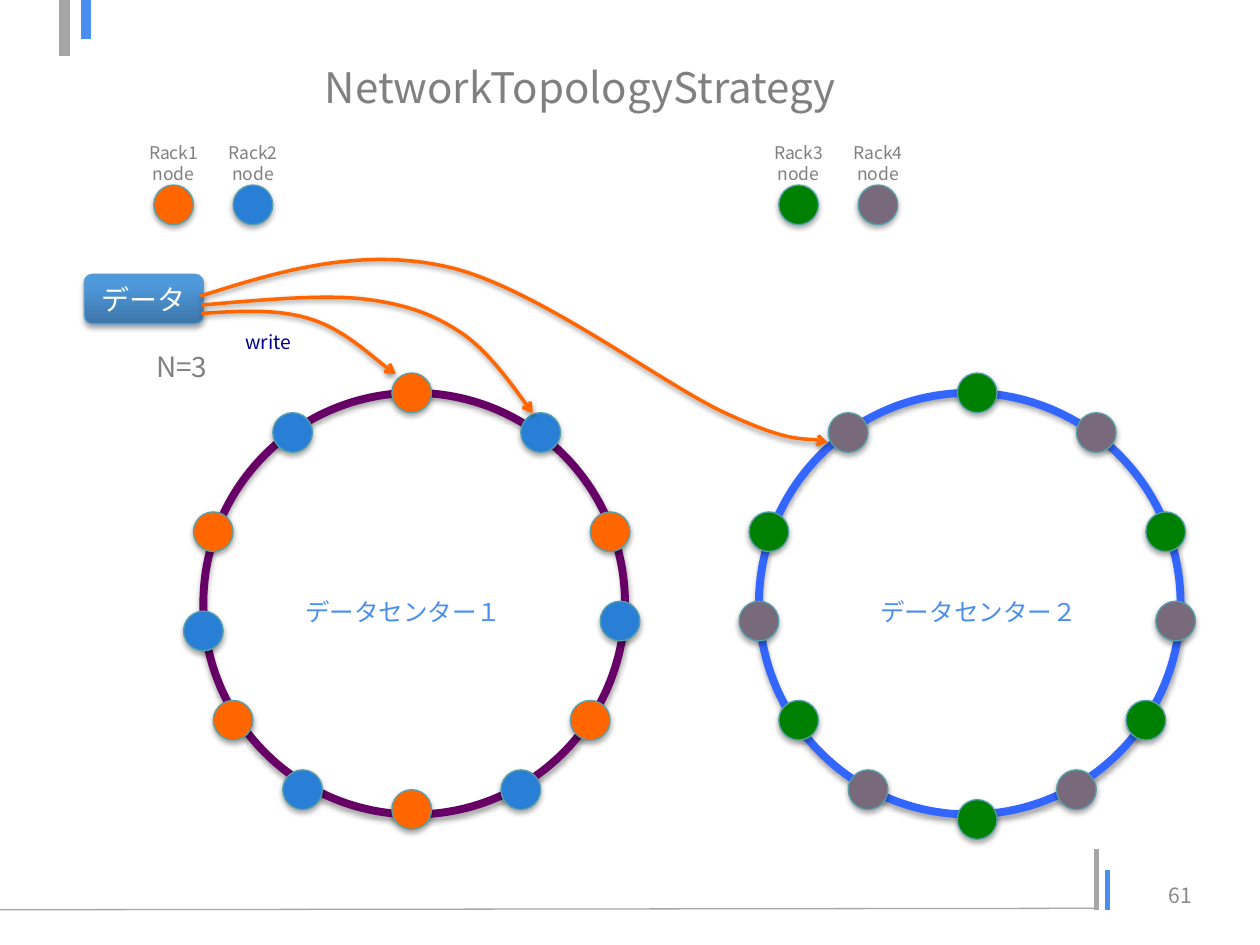
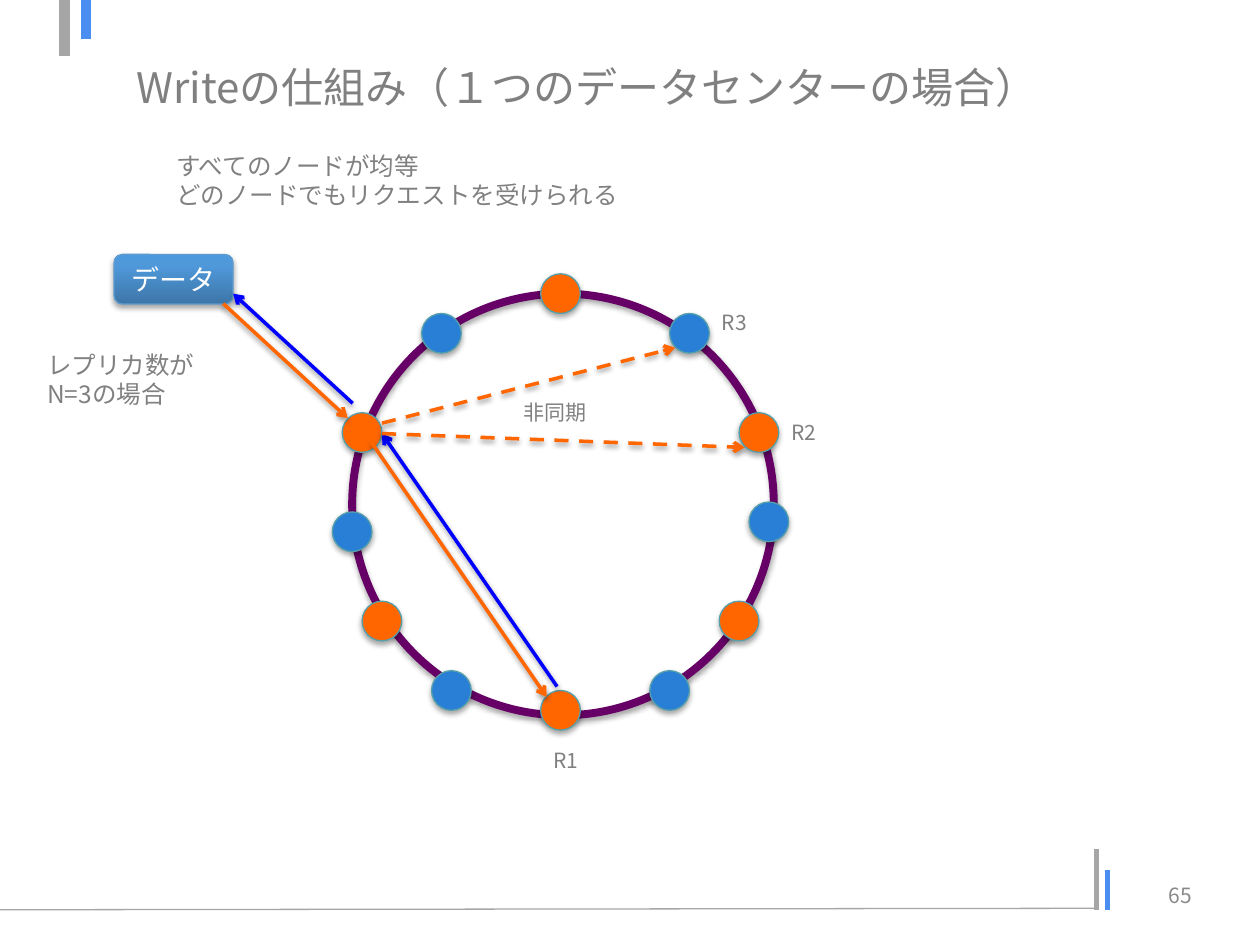
from copy import deepcopy
from itertools import cycle

from lxml import etree
from pptx import Presentation
from pptx.dml.color import RGBColor
from pptx.enum.dml import MSO_LINE
from pptx.enum.shapes import MSO_CONNECTOR, MSO_SHAPE
from pptx.enum.text import MSO_ANCHOR, MSO_AUTO_SIZE, PP_ALIGN
from pptx.oxml.ns import qn
from pptx.util import Cm, Pt

STRAIGHT = MSO_CONNECTOR.STRAIGHT
OVAL, ROUNDED = MSO_SHAPE.OVAL, MSO_SHAPE.ROUNDED_RECTANGLE
DASH = MSO_LINE.DASH
TOP, MIDDLE = MSO_ANCHOR.TOP, MSO_ANCHOR.MIDDLE
LEFT, CENTER, RIGHT = PP_ALIGN.LEFT, PP_ALIGN.CENTER, PP_ALIGN.RIGHT
NO_FIT, GROW = MSO_AUTO_SIZE.NONE, MSO_AUTO_SIZE.SHAPE_TO_FIT_TEXT

FONT = "Noto Sans CJK JP"
TEXT_GREY = RGBColor(0x80, 0x80, 0x80)
NUMBER_GREY = RGBColor(0x89, 0x89, 0x89)
BAR_GREY = RGBColor(0xA6, 0xA6, 0xA6)
ACCENT_BLUE = RGBColor(0x4A, 0x8E, 0xF2)
WHITE = RGBColor(0xFF, 0xFF, 0xFF)
NAVY = RGBColor(0x00, 0x00, 0x90)
ORANGE = RGBColor(0xFF, 0x66, 0x00)
NODE_BLUE = RGBColor(0x29, 0x7F, 0xD5)
GREEN = RGBColor(0x00, 0x80, 0x00)
MAUVE = RGBColor(0x78, 0x69, 0x7B)
NODE_EDGE = RGBColor(0x56, 0xA0, 0xAC)
RING_PURPLE = RGBColor(0x66, 0x00, 0x66)
RING_BLUE = RGBColor(0x33, 0x66, 0xFF)
REPLY_BLUE = RGBColor(0x00, 0x00, 0xFF)
DATA_EDGE = RGBColor(0x5D, 0x9A, 0xCF)
DATA_GRADIENT = (
    (0, RGBColor(0x3D, 0x76, 0xA8)),
    (0.8, RGBColor(0x4F, 0x99, 0xDB)),
    (1, RGBColor(0x4C, 0x9A, 0xDE)),
)

NODE_SIZE = 0.8
RING_SIZE = 8.5
RIGHT_NODES = [(6.4, 0.4), (7.8, 2.4), (8, 4.2), (7.4, 6.2), (6, 7.6)]
UPPER_LEFT_NODES = [(-0.2, 2.4), (1.4, 0.4)]
RING_1_NODES = [(3.8, -0.4), *RIGHT_NODES, (3.8, 8), (1.6, 7.6),
                (0.2, 6.2), (-0.4, 4.4), *UPPER_LEFT_NODES]
RING_2_NODES = [(4, -0.4), *RIGHT_NODES, (4, 8.2), (1.8, 7.6),
                (0.4, 6.2), (-0.4, 4.2), *UPPER_LEFT_NODES]

FRAME_LINES = (
    ((-0.1, 18.34), (22.1, 18.31), BAR_GREY, 0.75),
    ((22.1, 18.34), (22.1, 17.12), BAR_GREY, 3),
    ((22.33, 18.34), (22.33, 17.53), ACCENT_BLUE, 3),
    ((1.3, 1.12), (1.3, -0.08), BAR_GREY, 6),
    ((1.73, 0), (1.73, 0.79), ACCENT_BLUE, 6),
)
RACKS = (
    ("Rack1", 3.1, ORANGE),
    ("Rack2", 4.7, NODE_BLUE),
    ("Rack3", 15.7, GREEN),
    ("Rack4", 17.3, MAUVE),
)
WRITE_CURVES = (
    ((4.06, 6.32), (4.83, 6.27), (5.59, 6.22), (6.25, 6.43),
     (6.91, 6.63), (7.7, 7.37), (7.98, 7.54)),
    ((4.06, 6.15), (5.23, 6.05), (6.4, 5.94), (7.26, 6.02),
     (8.15, 6.12), (8.71, 6.32), (9.3, 6.71),
     (9.86, 7.09), (10.74, 8.33), (10.74, 8.33)),
    ((4.04, 5.97), (5.64, 5.46), (7.26, 4.98), (9.02, 5.38),
     (10.77, 5.77), (13.36, 7.75), (14.63, 8.33),
     (15.9, 8.92), (16.36, 8.81), (16.69, 8.92)),
)
REQUEST_ARROWS = (
    ((4.5, 6.12), (7.01, 8.43), ORANGE, None),
    ((7.49, 8.92), (11.02, 14.05), ORANGE, None),
    ((11.23, 13.84), (7.7, 8.74), REPLY_BLUE, None),
    ((7.11, 8.13), (4.7, 5.92), REPLY_BLUE, None),
    ((7.7, 8.53), (13.61, 7.01), ORANGE, DASH),
    ((7.7, 8.74), (15.01, 9.02), ORANGE, DASH),
)
REPLICA_LABELS = (
    ("非同期", (10.31, 7.92, 1.83, 0.76)),
    ("R1", (10.9, 14.94, 1.1, 0.76)),
    ("R2", (15.7, 8.33, 1.1, 0.76)),
    ("R3", (14.3, 6.12, 1.1, 0.76)),
)


def cm(values):
    return [Cm(value) for value in values]


def add_effects(shape):
    return etree.SubElement(shape._element.spPr, qn("a:effectLst"))


def cast_shadow(shape, alpha=35000, distance=23000):
    shadow = etree.SubElement(add_effects(shape), qn("a:outerShdw"), blurRad="40000",
                              dist=str(distance), dir="5400000", rotWithShape="0")
    black = etree.SubElement(shadow, qn("a:srgbClr"), val="000000")
    etree.SubElement(black, qn("a:alpha"), val=str(alpha))


def set_line(shape, color, width):
    shape.line.color.rgb = color
    shape.line.width = Pt(width)


def finish_arrow(arrow, color, dash=None):
    set_line(arrow, color, 2)
    if dash:
        arrow.line.dash_style = dash
    etree.SubElement(arrow._element.spPr.find(qn("a:ln")), qn("a:tailEnd"), type="arrow")
    cast_shadow(arrow, alpha=38000, distance=20000)


def write_text(frame, text, size, color, align):
    frame.text = text
    for paragraph in frame.paragraphs:
        paragraph.alignment = align
        for run in paragraph.runs:
            run.font.name = FONT
            run.font.size = Pt(size)
            run.font.color.rgb = color
            etree.SubElement(run.font._element, qn("a:ea"), typeface=FONT)


def add_text(slide, text, box, size, color=TEXT_GREY, align=LEFT, anchor=TOP, grow=True):
    frame = slide.shapes.add_textbox(*cm(box)).text_frame
    frame.word_wrap = not grow
    frame.auto_size = GROW if grow else NO_FIT
    frame.vertical_anchor = anchor
    write_text(frame, text, size, color, align)


def add_straight(slide, start, end):
    return slide.shapes.add_connector(STRAIGHT, *cm(start + end))


def add_frame(slide, number, title, title_left, title_width):
    for start, end, color, width in FRAME_LINES:
        bar = add_straight(slide, start, end)
        set_line(bar, color, width)
        add_effects(bar)
    add_text(slide, number, (18.36, 17.53, 5.92, 1.02), 12, NUMBER_GREY, RIGHT, MIDDLE, grow=False)
    add_text(slide, title, (title_left, 1.12, title_width, 1.27), 24)


def add_node(slide, left, top, color):
    node = slide.shapes.add_shape(OVAL, *cm((left, top, NODE_SIZE, NODE_SIZE)))
    node.fill.solid()
    node.fill.fore_color.rgb = color
    set_line(node, NODE_EDGE, 0.75)
    cast_shadow(node)


def add_ring(slide, left, top, ring_color, offsets, node_colors):
    ring = slide.shapes.add_shape(OVAL, *cm((left, top, RING_SIZE, RING_SIZE)))
    ring.fill.background()
    set_line(ring, ring_color, 4.5)
    cast_shadow(ring)
    for (dx, dy), color in zip(offsets, cycle(node_colors)):
        add_node(slide, left + dx, top + dy, color)


def add_data_box(slide, left, top):
    data = slide.shapes.add_shape(ROUNDED, *cm((left, top, 2.4, 1)))
    data.fill.gradient()
    data.fill.gradient_angle = 90
    stops = data._element.spPr.find(qn("a:gradFill")).find(qn("a:gsLst"))
    stops.append(deepcopy(stops[-1]))
    for stop, (position, color) in zip(data.fill.gradient_stops, DATA_GRADIENT):
        stop.position = position
        stop.color.rgb = color
    set_line(data, DATA_EDGE, 0.75)
    cast_shadow(data)
    data.text_frame.vertical_anchor = MIDDLE
    write_text(data.text_frame, "データ", 16, WHITE, CENTER)


def add_curved_arrow(slide, points, color):
    start, *rest = [cm(point) for point in points]
    builder = slide.shapes.build_freeform(*start)
    builder.add_line_segments(rest, close=False)
    curve = builder.convert_to_shape()
    segments = list(curve._element.iter(qn("a:lnTo")))
    for first in range(0, len(segments), 3):
        bezier = etree.Element(qn("a:cubicBezTo"))
        segments[first].addprevious(bezier)
        for segment in segments[first:first + 3]:
            bezier.append(segment[0])
            segment.getparent().remove(segment)
    curve.fill.background()
    finish_arrow(curve, color)


def add_arrow(slide, start, end, color, dash):
    finish_arrow(add_straight(slide, start, end), color, dash)


def build_topology_slide(slide):
    add_frame(slide, "61", "NetworkTopologyStrategy", 6.3, 11.43)
    for rack, left, color in RACKS:
        add_text(slide, f"{rack}\nnode", (left - 0.4, 2.72, 1.6, 1.12), 10,
                 align=CENTER, anchor=MIDDLE)
        add_node(slide, left, 3.73, color)
    add_ring(slide, 4.1, 7.92, RING_PURPLE, RING_1_NODES, (ORANGE, NODE_BLUE))
    add_ring(slide, 15.3, 7.92, RING_BLUE, RING_2_NODES, (GREEN, MAUVE))
    for center, left in (("データセンター１", 5.9), ("データセンター２", 17.5)):
        add_text(slide, center, (left, 11.91, 4.5, 0.86), 14, ACCENT_BLUE)
    add_data_box(slide, 1.7, 5.53)
    add_text(slide, "write", (4.7, 6.53, 1.47, 0.74), 11, NAVY)
    add_text(slide, "N=3", (2.9, 6.93, 1.7, 0.94), 16)
    for points in WRITE_CURVES:
        add_curved_arrow(slide, points, ORANGE)


def build_write_slide(slide):
    add_frame(slide, "65", "Writeの仕組み（１つのデータセンターの場合）", 2.5, 19.05)
    add_ring(slide, 7.1, 5.92, RING_PURPLE, RING_1_NODES, (ORANGE, NODE_BLUE))
    add_data_box(slide, 2.3, 5.13)
    add_text(slide, "レプリカ数が\nN=3の場合", (0.7, 6.93, 3.5, 1.45), 14)
    add_text(slide, "すべてのノードが均等\nどのノードでもリクエストを受けられる",
             (3.3, 2.92, 9.47, 1.45), 14)
    for start, end, color, dash in REQUEST_ARROWS:
        add_arrow(slide, start, end, color, dash)
    for label, box in REPLICA_LABELS:
        add_text(slide, label, box, 12)


def main():
    presentation = Presentation()
    presentation.slide_width = Cm(25.4)
    presentation.slide_height = Cm(19.05)
    blank = presentation.slide_layouts[6]
    for build in (build_topology_slide, build_write_slide):
        build(presentation.slides.add_slide(blank))
    presentation.save("out.pptx")


if __name__ == "__main__":
    main()
